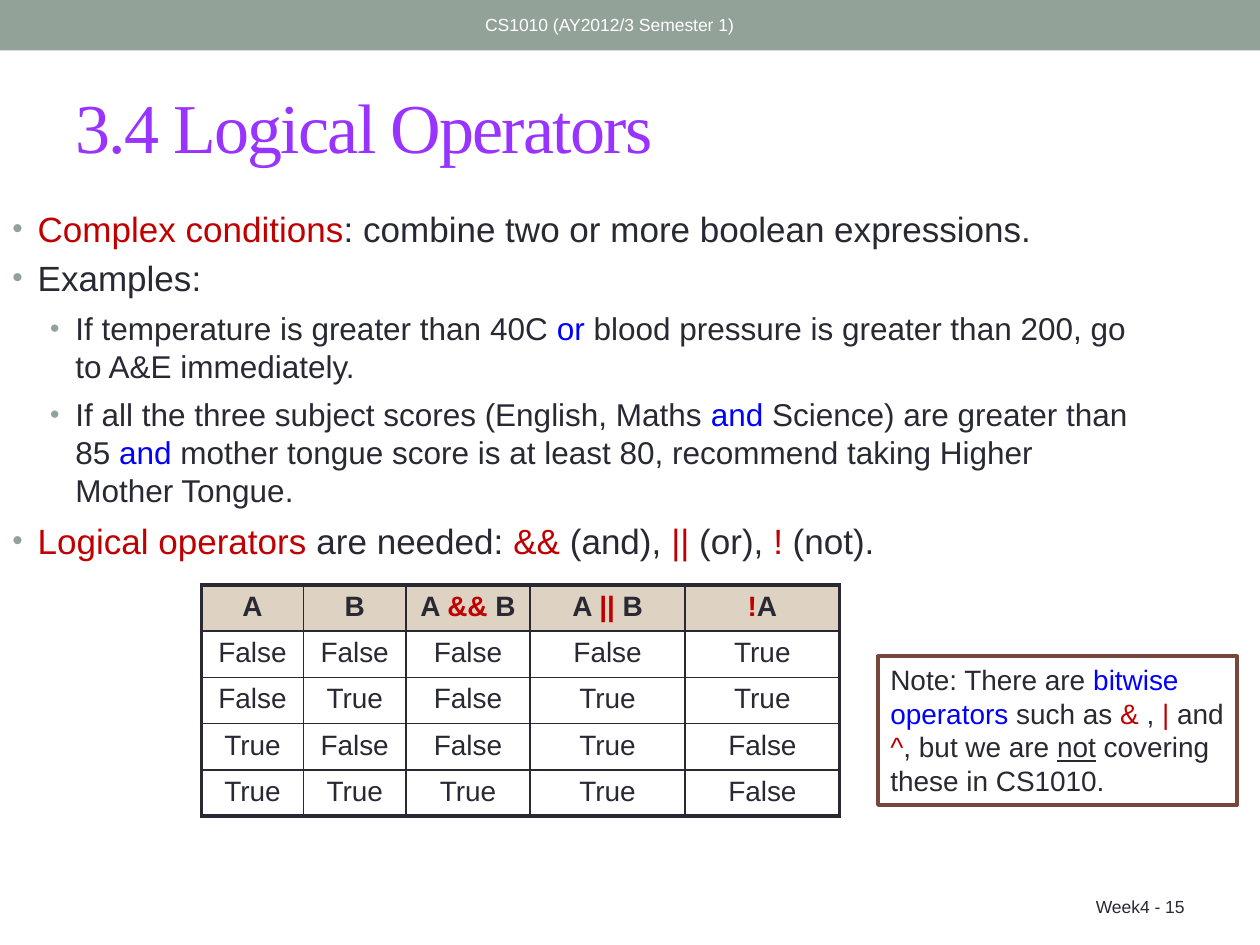
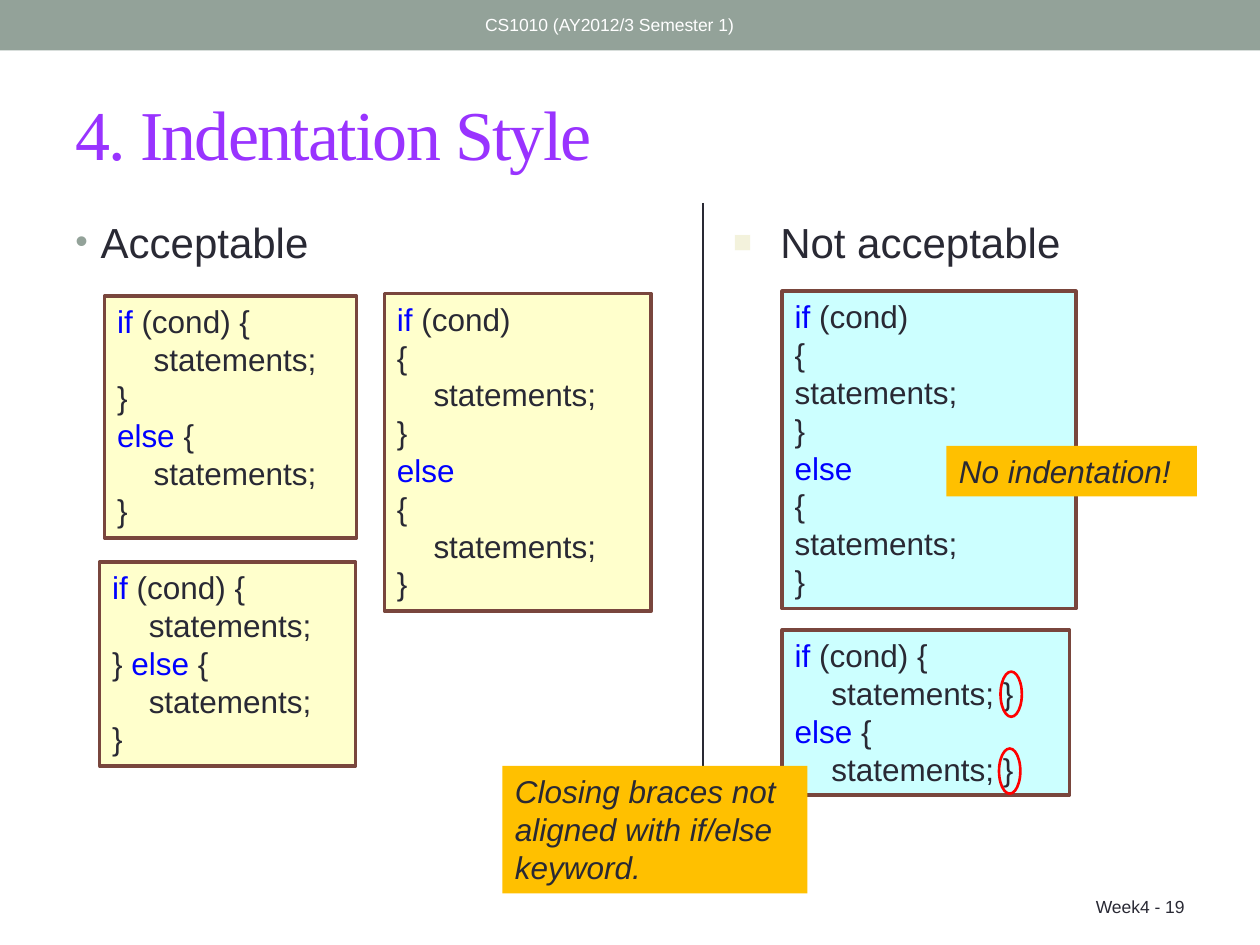
from dataclasses import dataclass

from lxml.etree import SubElement
from pptx import Presentation
from pptx.dml.color import RGBColor
from pptx.enum.shapes import MSO_CONNECTOR as Connector, MSO_SHAPE as Shape
from pptx.enum.text import MSO_ANCHOR as Anchor, PP_ALIGN as Align
from pptx.oxml.ns import qn
from pptx.util import Cm, Pt


@dataclass(frozen=True)
class Theme:
    sans: str = "Arial"
    serif: str = "Times New Roman"
    ink: str = "292934"
    white: str = "FFFFFF"
    sage: str = "93A299"
    ivory: str = "F3F2DC"
    purple: str = "9933FF"
    crimson: str = "C00000"
    blue: str = "0000FF"
    red: str = "FF0000"
    brown: str = "79463D"
    sand: str = "DED2C2"
    yellow: str = "FFFFCC"
    cyan: str = "CCFFFF"
    amber: str = "FFC000"
    title_size: int = 40
    heading_size: int = 24
    body_size: int = 20
    detail_size: int = 18
    table_size: int = 16
    small_size: int = 10
    frame_width: float = 2.08
    outer_border: float = 2.25
    inner_border: float = 1


T = Theme()


def rgb(colour):
    return RGBColor.from_string(colour)


def crimson(words):
    return words, T.crimson


def blue(words):
    return words, T.blue


def underlined(words):
    return words, None


def write(paragraph, pieces, size, colour=T.ink, face=T.sans):
    font = paragraph.font
    font.name, font.size = face, Pt(size)
    font.color.rgb = rgb(colour)
    for piece in pieces:
        words, accent = (piece, colour) if isinstance(piece, str) else piece
        run = paragraph.add_run()
        run.text = words
        if accent is None:
            run.font.underline = True
        elif accent != colour:
            run.font.color.rgb = rgb(accent)
    return paragraph


def add_bullet(paragraph, indent, hanging, symbol="•", colour=T.sage, percent=85):
    props = paragraph._p.get_or_add_pPr()
    props.set("marL", str(Cm(indent)))
    props.set("indent", str(-Cm(hanging)))
    SubElement(SubElement(props, qn("a:buClr")), qn("a:srgbClr"), val=colour)
    SubElement(props, qn("a:buSzPct"), val=str(percent * 1000))
    SubElement(props, qn("a:buFont"), typeface=T.sans)
    SubElement(props, qn("a:buChar"), char=symbol)


def add_tabs(paragraph, *stops):
    tabs = SubElement(paragraph._p.get_or_add_pPr(), qn("a:tabLst"))
    for stop in stops:
        SubElement(tabs, qn("a:tab"), pos=str(Cm(stop)), algn="l")


def text_area(slide, box, anchor=Anchor.TOP):
    frame = slide.shapes.add_textbox(*map(Cm, box)).text_frame
    frame.word_wrap = True
    frame.vertical_anchor = anchor
    return frame


def panel(slide, box, fill=None, line=None, width=T.frame_width, kind=Shape.RECTANGLE):
    area = slide.shapes.add_shape(kind, *map(Cm, box))
    area.shadow.inherit = False
    if fill:
        area.fill.solid()
        area.fill.fore_color.rgb = rgb(fill)
    else:
        area.fill.background()
    if line:
        area.line.color.rgb = rgb(line)
        area.line.width = Pt(width)
    else:
        area.line.fill.background()
    frame = area.text_frame
    frame.word_wrap = True
    frame.vertical_anchor = Anchor.TOP
    frame.paragraphs[0].alignment = Align.LEFT
    return frame


def slide_base(deck, title, title_height, page):
    slide = deck.slides.add_slide(deck.slide_layouts[6])
    panel(slide, (0, 0, 25.4, 1.02), T.sage)
    course = text_area(slide, (9.53, 0.05, 11.43, 0.91), Anchor.MIDDLE)
    write(course.paragraphs[0], ["CS1010 (AY2012/3 Semester 1)"], T.small_size, T.white)
    heading = text_area(slide, (1.27, 1.27, 22.86, title_height), Anchor.MIDDLE).paragraphs[0]
    write(heading, [title], T.title_size, T.purple, T.serif)
    heading.runs[0].font._element.set("spc", "-100")
    number = text_area(slide, (18.21, 17.35, 5.92, 1.27), Anchor.BOTTOM).paragraphs[0]
    number.alignment = Align.RIGHT
    write(number, [f"Week4 - {page}"], T.small_size)
    return slide


def bullet_list(slide, box, items):
    frame = text_area(slide, box)
    for index, (level, before, pieces) in enumerate(items):
        paragraph = frame.add_paragraph() if index else frame.paragraphs[0]
        paragraph.level = level
        if index:
            paragraph.space_before = Pt(before)
        add_bullet(paragraph, (0.51, 1.27)[level], 0.51)
        write(paragraph, pieces, (T.body_size, T.detail_size)[level])


def column_heading(slide, box, words, indent, **bullet):
    paragraph = text_area(slide, box).paragraphs[0]
    add_bullet(paragraph, indent, indent, **bullet)
    write(paragraph, [words], T.heading_size)


def add_borders(cell, widths):
    props = cell._tc.get_or_add_tcPr()
    for side, width in zip("LRTB", widths):
        edge = SubElement(props, qn(f"a:ln{side}"), w=str(Pt(width)))
        SubElement(SubElement(edge, qn("a:solidFill")), qn("a:srgbClr"), val=T.ink)


def truth_table(slide, box, column_widths, row_heights):
    header = [["A"], ["B"], ["A ", crimson("&&"), " B"],
              ["A ", crimson("||"), " B"], [crimson("!"), "A"]]
    values = [[a, b, a and b, a or b, not a]
              for a in (False, True) for b in (False, True)]
    rows = [header] + [[[str(value)] for value in line] for line in values]
    grid = slide.shapes.add_table(len(rows), len(header), *map(Cm, box)).table
    grid.first_row = grid.horz_banding = False
    for column, width in zip(grid.columns, column_widths):
        column.width = Cm(width)
    last_row, last_column = len(rows) - 1, len(header) - 1
    for r, row in enumerate(rows):
        grid.rows[r].height = Cm(row_heights[r])
        for c, pieces in enumerate(row):
            cell = grid.cell(r, c)
            outer = c == 0, c == last_column, r == 0, r == last_row
            add_borders(cell, [T.outer_border if edge else T.inner_border for edge in outer])
            if r == 0:
                cell.fill.solid()
                cell.fill.fore_color.rgb = rgb(T.sand)
            else:
                cell.fill.background()
            paragraph = cell.text_frame.paragraphs[0]
            paragraph.alignment = Align.CENTER
            write(paragraph, pieces, T.table_size).font.bold = r == 0


def note(slide, box):
    frame = panel(slide, box, T.white, T.brown)
    write(frame.paragraphs[0], [
        "Note: There are ", blue("bitwise operators"), " such as ", crimson("&"), " , ",
        crimson("|"), " and ", crimson("^"), ", but we are ", underlined("not"),
        " covering these in CS1010."], T.table_size)


def highlight(line):
    for keyword in ("if", "else"):
        before, found, after = line.partition(keyword)
        if found:
            return [piece for piece in (before, blue(found), after) if piece]
    return [line]


def code_block(slide, box, fill, code):
    frame = panel(slide, box, fill, T.brown)
    for index, line in enumerate(code.split("\n")):
        paragraph = frame.add_paragraph() if index else frame.paragraphs[0]
        paragraph.alignment = Align.LEFT
        add_tabs(paragraph, 0.74, 1.5)
        write(paragraph, highlight(line), T.detail_size)


def callout(slide, box, words):
    frame = panel(slide, box, T.amber)
    write(frame.paragraphs[0], [words], T.detail_size).font.italic = True


def divider(slide, x, top, bottom):
    rule = slide.shapes.add_connector(Connector.STRAIGHT, Cm(x), Cm(top), Cm(x), Cm(bottom))
    rule.line.color.rgb = rgb(T.ink)
    rule.line.width = Pt(1.5)
    SubElement(rule._element.spPr, qn("a:effectLst"))


def logical_operators(deck):
    slide = slide_base(deck, "3.4 Logical Operators", 2.51, 15)
    truth_table(slide, (4.06, 11.79, 12.87, 4.65),
                (2.06, 2.06, 2.51, 3.12, 3.12), (0.9,) + (0.93,) * 4)
    bullet_list(slide, (0, 4.06, 23.04, 8.03), [
        (0, 0, [crimson("Complex conditions"), ": combine two or more boolean expressions."]),
        (0, 4, ["Examples:"]),
        (1, 6, ["If temperature is greater than 40C ", blue("or"),
                " blood pressure is greater than 200, go to A&E immediately."]),
        (1, 6, ["If all the three subject scores (English, Maths ", blue("and"),
                " Science) are greater than 85 ", blue("and"),
                " mother tongue score is at least 80, recommend taking Higher Mother Tongue."]),
        (0, 6, [crimson("Logical operators "), "are needed: ", crimson("&&"), " (and), ",
                crimson("||"), " (or), ", crimson("!"), " (not)."]),
    ])
    note(slide, (17.7, 13.23, 7.24, 3))


def indentation_style(deck):
    slide = slide_base(deck, "4. Indentation Style", 2.79, 19)
    divider(slide, 14.17, 4.09, 17.4)
    column_heading(slide, (1.27, 4.24, 6.71, 1.47), "Acceptable", 0.51)
    column_heading(slide, (14.53, 4.24, 8.41, 1.47), "Not acceptable", 0.95,
                   symbol="■", colour=T.ivory, percent=75)
    own_line_braces = "if (cond)\n{\n\tstatements;\n}\nelse\n{\n\tstatements;\n}"
    for box, fill, code in (
        ((2.11, 5.97, 5.08, 4.88), T.yellow,
         "if (cond) {\n\tstatements;\n}\nelse {\n\tstatements;\n}"),
        ((7.75, 5.92, 5.38, 6.4), T.yellow, own_line_braces),
        ((2.01, 11.33, 5.16, 4.11), T.yellow,
         "if (cond) {\n\tstatements;\n} else {\n\tstatements;\n}"),
        ((15.77, 5.87, 5.92, 6.4), T.cyan, own_line_braces.replace("\t", "")),
        ((15.77, 12.7, 5.79, 3.33), T.cyan,
         "if (cond) {\n\tstatements; }\nelse {\n\tstatements; }"),
    ):
        code_block(slide, box, fill, code)
    callout(slide, (19.08, 8.99, 5.05, 1.02), "No indentation!")
    for left, top in ((20.17, 13.54), (20.14, 15.09)):
        panel(slide, (left, top, 0.43, 0.91), line=T.red, width=1.5, kind=Shape.OVAL)
    callout(slide, (10.13, 15.44, 6.15, 2.57),
            "Closing braces not aligned with if/else keyword.")


def main():
    deck = Presentation()
    deck.slide_width, deck.slide_height = Cm(25.4), Cm(19.05)
    logical_operators(deck)
    indentation_style(deck)
    deck.save("out.pptx")


if __name__ == "__main__":
    main()
